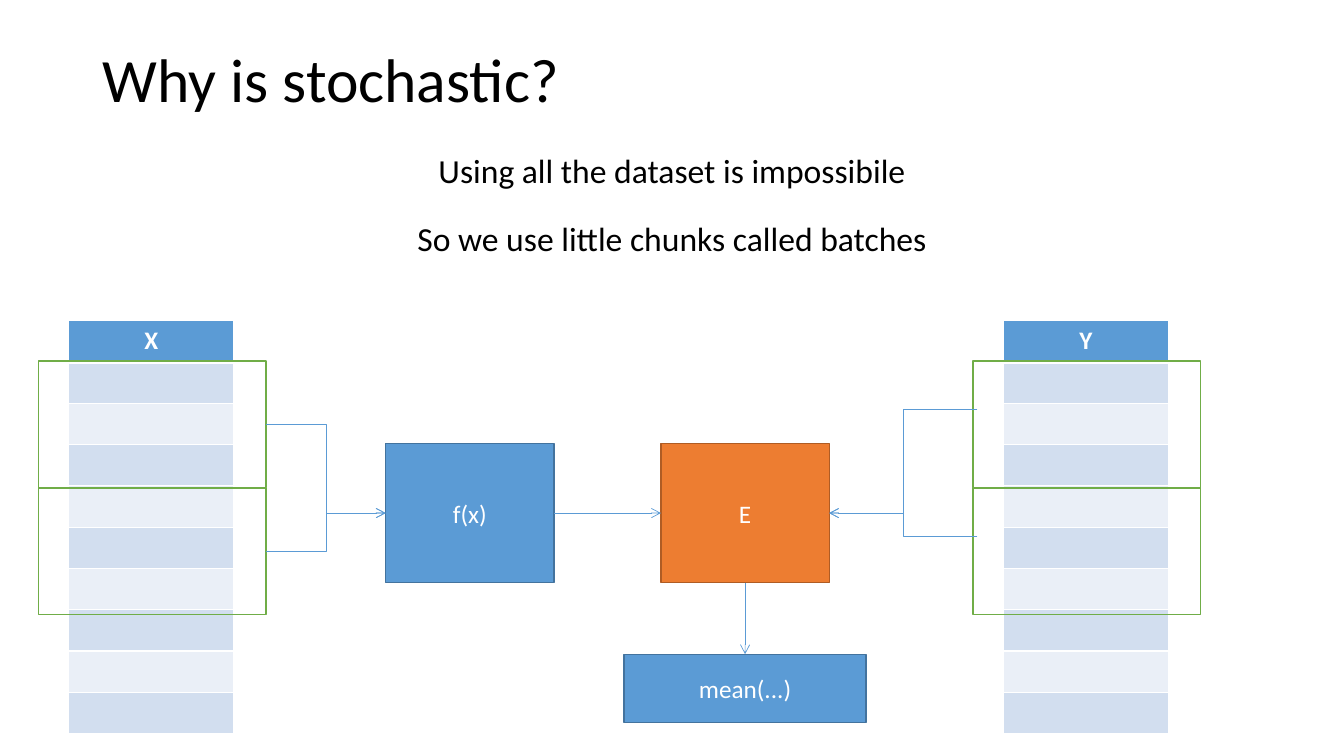
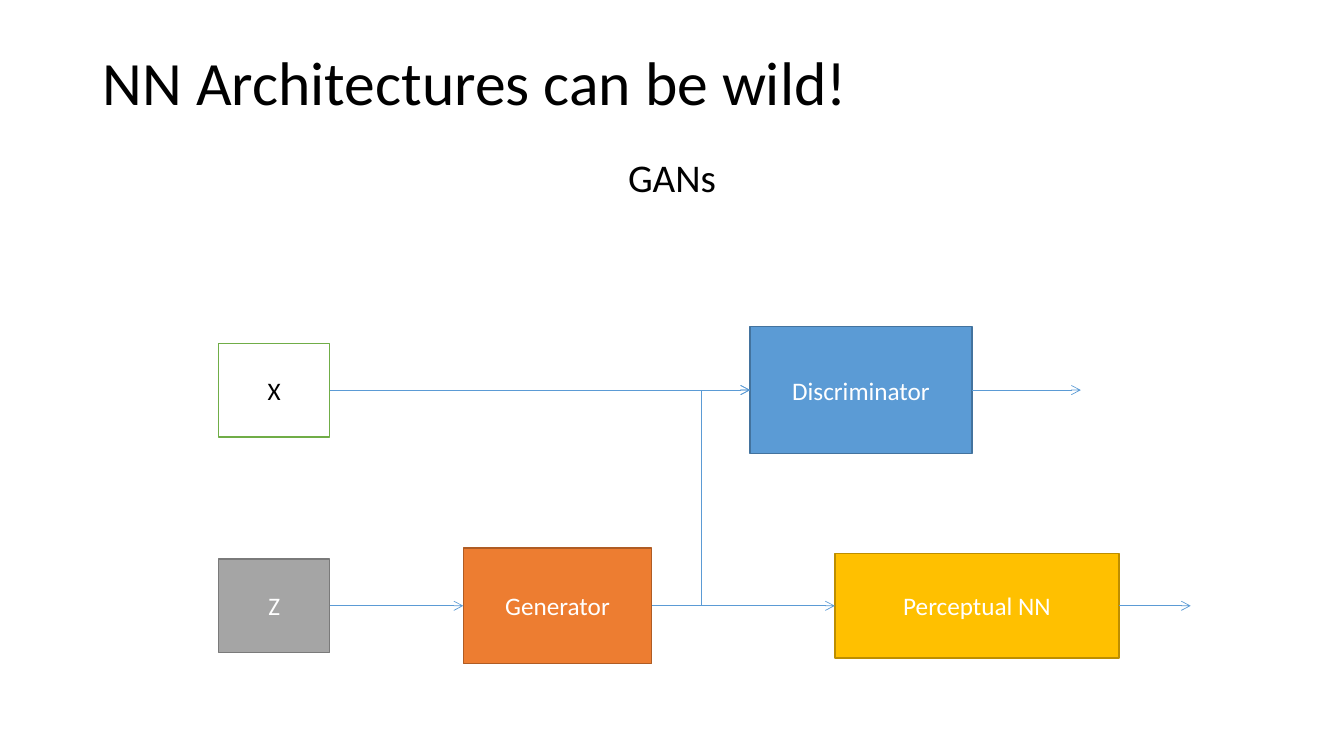
from lxml.etree import SubElement as Sub
from pptx import Presentation
from pptx.dml.color import RGBColor
from pptx.enum.shapes import MSO_CONNECTOR as Wire, MSO_SHAPE as Shape
from pptx.enum.text import MSO_ANCHOR as Anchor, PP_ALIGN as Align
from pptx.oxml.ns import qn
from pptx.util import Inches, Pt

WIDE, HIGH = 13.33, 7.5
FONT = "Calibri"
BLACK, WHITE = "000000", "FFFFFF"
BLUE, GREEN, ORANGE, GRAY, GOLD = "5B9BD5", "70AD47", "ED7D31", "A5A5A5", "FFC000"
EDGES = {BLUE: "43739E", ORANGE: "AF5C24", GRAY: "7A7A7A", GOLD: "BD8E00"}
STRIPES = ["EAEFF7", "D2DEEF"]
ROWS, ROW, COL = 10, 0.41, 1.64
LIFT = 0.01


def paint(target, color):
    """Give a fill or font a solid colour."""
    if hasattr(target, "solid"):
        target.solid()
        target.fore_color.rgb = RGBColor.from_string(color)
    else:
        target.color.rgb = RGBColor.from_string(color)


def write(frame, text, size, color=BLACK, align=Align.CENTER, bold=False):
    """Set one paragraph of text and format its run."""
    frame.text = text
    par = frame.paragraphs[0]
    par.alignment = align
    for run in par.runs:
        run.font.name, run.font.size, run.font.bold = FONT, Pt(size), bold
        paint(run.font, color)
    return par


def place(*box):
    """Turn a box in inches into lengths."""
    return [Inches(n) for n in box]


def start(deck, title, top):
    """Add a slide with its title."""
    slide = deck.slides.add_slide(deck.slide_layouts[5])
    head = slide.shapes.title
    head.left, head.top, head.width, head.height = place(0.92, top, 11.5, 1.45)
    head.text_frame.vertical_anchor = Anchor.MIDDLE
    write(head.text_frame, title, 44, align=Align.LEFT).line_spacing = 0.9
    return slide


def note(slide, text, top, high, size):
    """Add a centred line of text across the slide."""
    frame = slide.shapes.add_textbox(*place(0, top, WIDE, high)).text_frame
    frame.word_wrap = True
    return write(frame, text, size)


def block(slide, mid, size, text="", fill=None, edge=None, ink=WHITE):
    """Add a labelled rectangle around a middle point."""
    (x, y), (wide, high) = mid, size
    box = slide.shapes.add_shape(
        Shape.RECTANGLE, *place(x - wide / 2, y - high / 2, wide, high))
    box.shadow.inherit = False
    if fill:
        paint(box.fill, fill)
    else:
        box.fill.background()
    paint(box.line, edge or EDGES[fill])
    box.line.width = Pt(1)
    if text:
        box.text_frame.vertical_anchor = Anchor.MIDDLE
        write(box.text_frame, text, 18, ink)
    return box


def port(box, across, down=0.5):
    """Find a point at shares of a box, in inches."""
    x = box.left + across * box.width
    y = box.top + down * box.height
    return x / Inches(1), y / Inches(1)


def link(slide, tail, head, kind=Wire.STRAIGHT):
    """Draw a thin arrow between two points."""
    wire = slide.shapes.add_connector(kind, *place(*tail, *head))
    paint(wire.line, BLUE)
    wire.line.width = Pt(0.5)
    Sub(wire.line._get_or_add_ln(), qn("a:tailEnd"), type="arrow")
    Sub(wire._element.spPr, qn("a:effectLst"))


def border(cell, widths):
    """Draw white cell borders with the given widths."""
    props = cell._tc.get_or_add_tcPr()
    for side, width in zip("LRTB", widths):
        line = Sub(props, qn("a:ln" + side), w=str(Pt(width)))
        Sub(Sub(line, qn("a:solidFill")), qn("a:srgbClr"), val=WHITE)


def column(slide, name, left, top):
    """Add a striped data column with two batch frames."""
    grid = slide.shapes.add_table(
        ROWS, 1, *place(left, top, COL, ROWS * ROW)).table
    for i in range(ROWS):
        grid.rows[i].height = Inches(ROW)
        cell = grid.cell(i, 0)
        border(cell, [1, 1, 3 if i == 1 else 1, 1 if i else 3])
        paint(cell.fill, STRIPES[i % 2] if i else BLUE)
    write(grid.cell(0, 0).text_frame, name, 18, WHITE, bold=True)
    high = 3 * ROW + 0.03
    return [block(slide, (left + COL / 2 + LIFT, top + ROW - LIFT + high * (k + 0.5)),
                  (2.26, high), edge=GREEN) for k in range(2)]


def batches(deck):
    """Build the slide on batches."""
    slide = start(deck, "Why is stochastic?", 0.09)
    note(slide, "Using all the dataset is impossibile", 1.44, 0.5, 24)
    note(slide, "So we use little chunks called batches", 2.11, 0.5, 24)
    mid, size = 5.09, (1.67, 1.38)
    func = block(slide, (4.66, mid), size, "f(x)", BLUE)
    error = block(slide, (7.39, mid), size, "E", ORANGE)
    mean = block(slide, (7.39, 6.83), (2.4, 0.68), "mean(...)", BLUE)
    link(slide, port(func, 1), port(error, 0))
    link(slide, port(error, 0.5, 1), port(mean, 0.5, 0))
    for frame in column(slide, "X", 0.68, 3.18):
        link(slide, port(frame, 1), port(func, 0), Wire.ELBOW)
    for frame in column(slide, "Y", 9.95, 3.18):
        link(slide, port(frame, 0.02, 0.38), port(error, 1), Wire.ELBOW)


def network(deck):
    """Build the slide on adversarial networks."""
    slide = start(deck, "NN Architectures can be wild!", 0.12)
    note(slide, "GANs", 1.52, 0.59, 28).line_spacing = 0.9
    high, low, small = 3.87, 6.01, (1.1, 0.93)
    real = block(slide, (2.72, high), small, "X", WHITE, GREEN, BLACK)
    noise = block(slide, (2.72, low), small, "Z", GRAY)
    judge = block(slide, (8.54, high), (2.2, 1.26), "Discriminator", BLUE)
    maker = block(slide, (5.53, low), (1.87, 1.15), "Generator", ORANGE)
    sense = block(slide, (9.69, low), (2.82, 1.04), "Perceptual NN", GOLD)
    for tail, head in [(real, judge), (noise, maker), (maker, sense)]:
        link(slide, port(tail, 1), port(head, 0))
    link(slide, port(maker, 1), port(judge, 0), Wire.ELBOW)
    for box, end in [(judge, 10.72), (sense, 11.81)]:
        x, y = port(box, 1)
        link(slide, (x, y), (end, y))


deck = Presentation()
deck.slide_width, deck.slide_height = place(WIDE, HIGH)
batches(deck)
network(deck)
deck.save("out.pptx")
